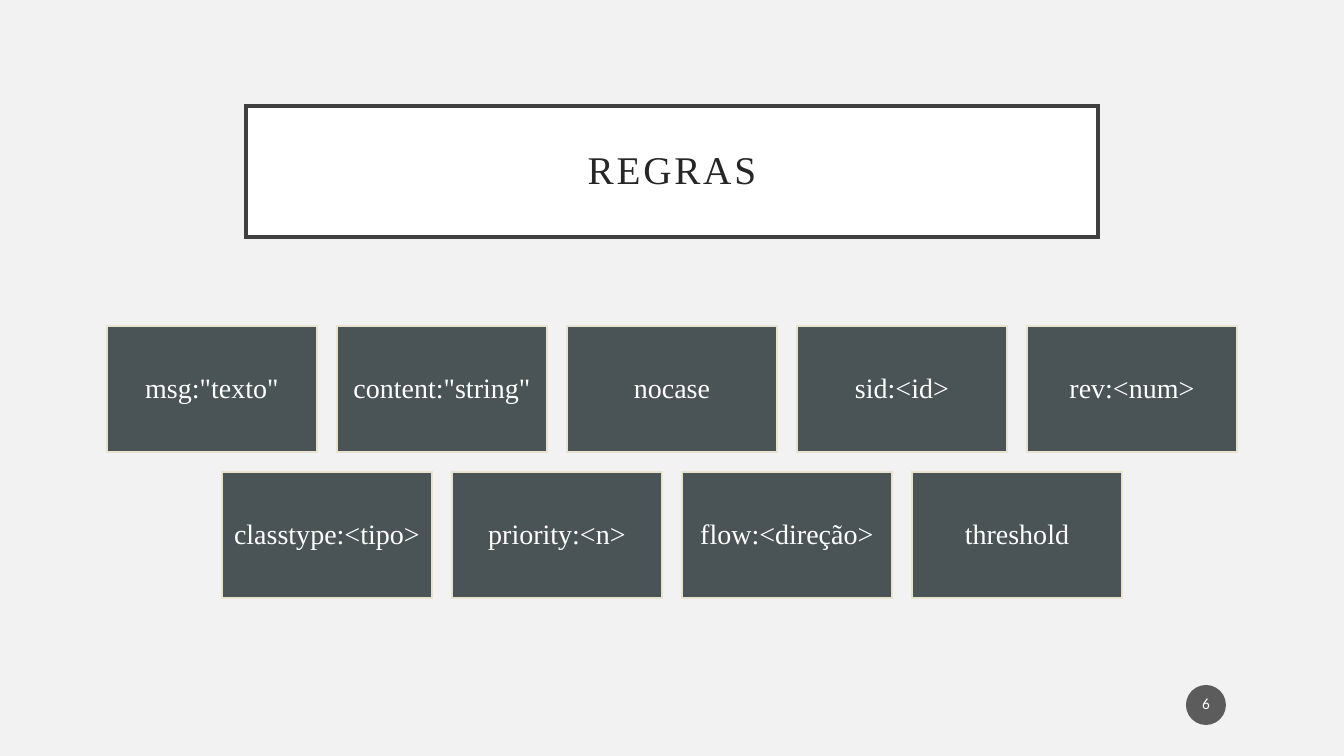
from lxml.etree import SubElement
from pptx import Presentation
from pptx.dml.color import RGBColor
from pptx.enum.shapes import MSO_SHAPE
from pptx.enum.text import MSO_ANCHOR, PP_ALIGN
from pptx.oxml.ns import qn
from pptx.util import Pt

SLIDE_W, SLIDE_H = 1344, 756
EMU_PER_PX = 12192000 / SLIDE_W

BACKGROUND = RGBColor(0xF2, 0xF2, 0xF2)
WHITE = RGBColor(0xFF, 0xFF, 0xFF)
FRAME = RGBColor(0x40, 0x40, 0x40)
TITLE_TEXT = RGBColor(0x26, 0x26, 0x26)
BADGE = RGBColor(0x1D, 0x1D, 0x1D)
CARD = RGBColor(0x4A, 0x53, 0x56)
CARD_LINE = RGBColor(0xE8, 0xE3, 0xCE)

SERIF, SANS = "Times New Roman", "Calibri"

CARD_W, CARD_H, CARD_GAP, CARDS_TOP = 210, 126, 20, 326
RULE_ROWS = [
    ['msg:"texto"', 'content:"string"', "nocase", "sid:<id>", "rev:<num>"],
    ["classtype:<tipo>", "priority:<n>", "flow:<direção>", "threshold"],
]


def px(n):
    return round(n * EMU_PER_PX)


class RulesSlide:
    def __init__(self, prs):
        self.slide = prs.slides.add_slide(prs.slide_layouts[6])
        fill = self.slide.background.fill
        fill.solid()
        fill.fore_color.rgb = BACKGROUND

    def shape(self, kind, box, fill, line=None, line_pt=1):
        sp = self.slide.shapes.add_shape(kind, *map(px, box))
        sp.shadow.inherit = False
        sp.fill.solid()
        sp.fill.fore_color.rgb = fill
        if line is None:
            sp.line.fill.background()
        else:
            sp.line.color.rgb = line
            sp.line.width = Pt(line_pt)
            ln = sp._element.spPr.find(qn("a:ln"))
            SubElement(ln, qn("a:miter")).set("lim", "800000")
        return sp

    def text(self, sp, text, size, color=WHITE, font=SERIF, inset=(8, 8), after=0):
        """Centre one line of text; inset is (sides, top and bottom) in px."""
        tf = sp.text_frame
        tf.word_wrap = True
        tf.vertical_anchor = MSO_ANCHOR.MIDDLE
        tf.margin_left = tf.margin_right = px(inset[0])
        tf.margin_top = tf.margin_bottom = px(inset[1])
        p = tf.paragraphs[0]
        p.alignment = PP_ALIGN.CENTER
        p.line_spacing = 0.9
        p.space_after = Pt(after)
        r = p.add_run()
        r.text = text
        r.font.name = font
        r.font.size = Pt(size)
        r.font.color.rgb = color
        return r

    def title(self, text):
        sp = self.shape(MSO_SHAPE.RECTANGLE, (246, 106, 852, 131), WHITE, FRAME, 2.5)
        r = self.text(sp, text, 28, TITLE_TEXT, inset=(20, 20))
        r.font._element.set("spc", "200")

    def card(self, x, y, text):
        sp = self.shape(MSO_SHAPE.RECTANGLE, (x, y, CARD_W, CARD_H), CARD, CARD_LINE)
        self.text(sp, text, 20, after=7)

    def card_row(self, y, labels):
        """Place one row of cards, centred on the slide."""
        pitch = CARD_W + CARD_GAP
        left = (SLIDE_W - len(labels) * pitch + CARD_GAP) // 2
        for i, label in enumerate(labels):
            self.card(left + i * pitch, y, label)

    def page_number(self, text):
        sp = self.shape(MSO_SHAPE.OVAL, (1186, 685, 40, 40), BADGE)
        color = sp._element.spPr.find(qn("a:solidFill"))[0]
        SubElement(color, qn("a:alpha")).set("val", "70000")
        self.text(sp, text, 11, font=SANS, inset=(2, 5), after=6)


def main():
    prs = Presentation()
    prs.slide_width, prs.slide_height = px(SLIDE_W), px(SLIDE_H)
    slide = RulesSlide(prs)
    slide.title("REGRAS")
    for i, labels in enumerate(RULE_ROWS):
        slide.card_row(CARDS_TOP + i * (CARD_H + CARD_GAP), labels)
    slide.page_number("6")
    prs.save("out.pptx")


if __name__ == "__main__":
    main()
